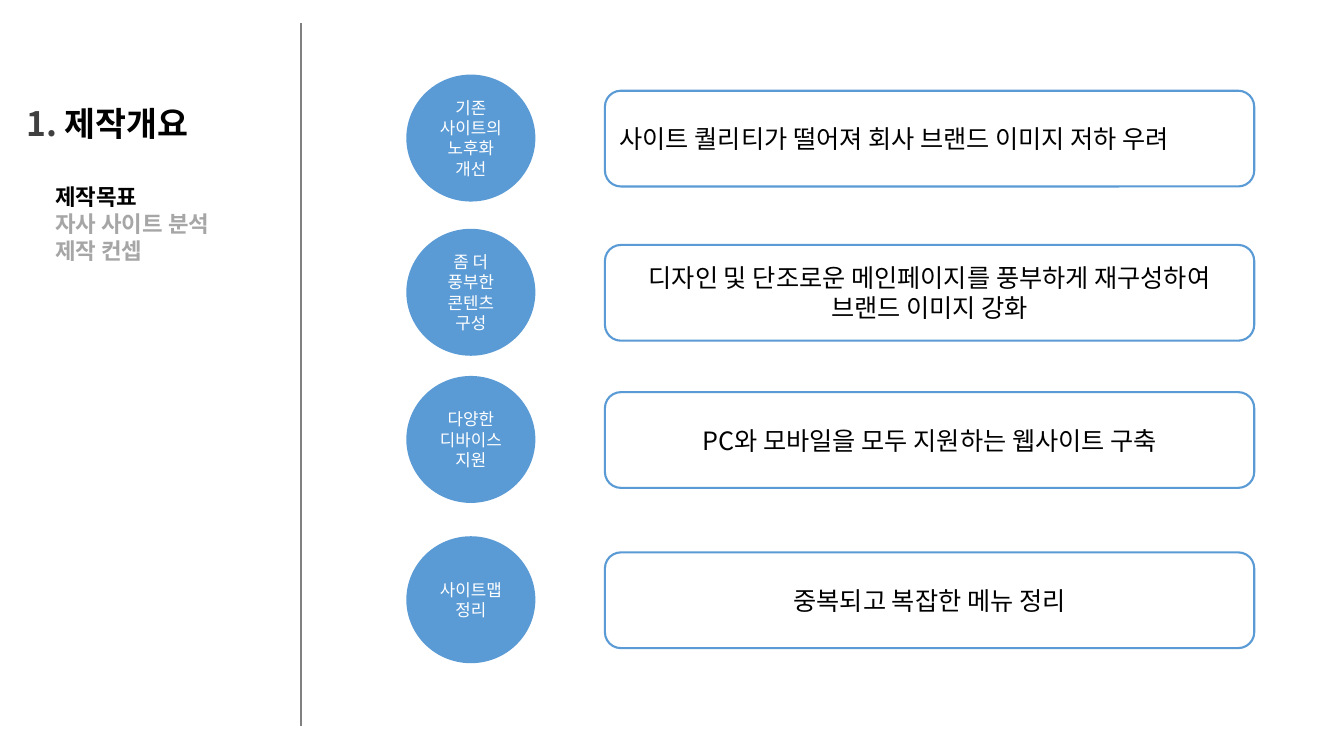
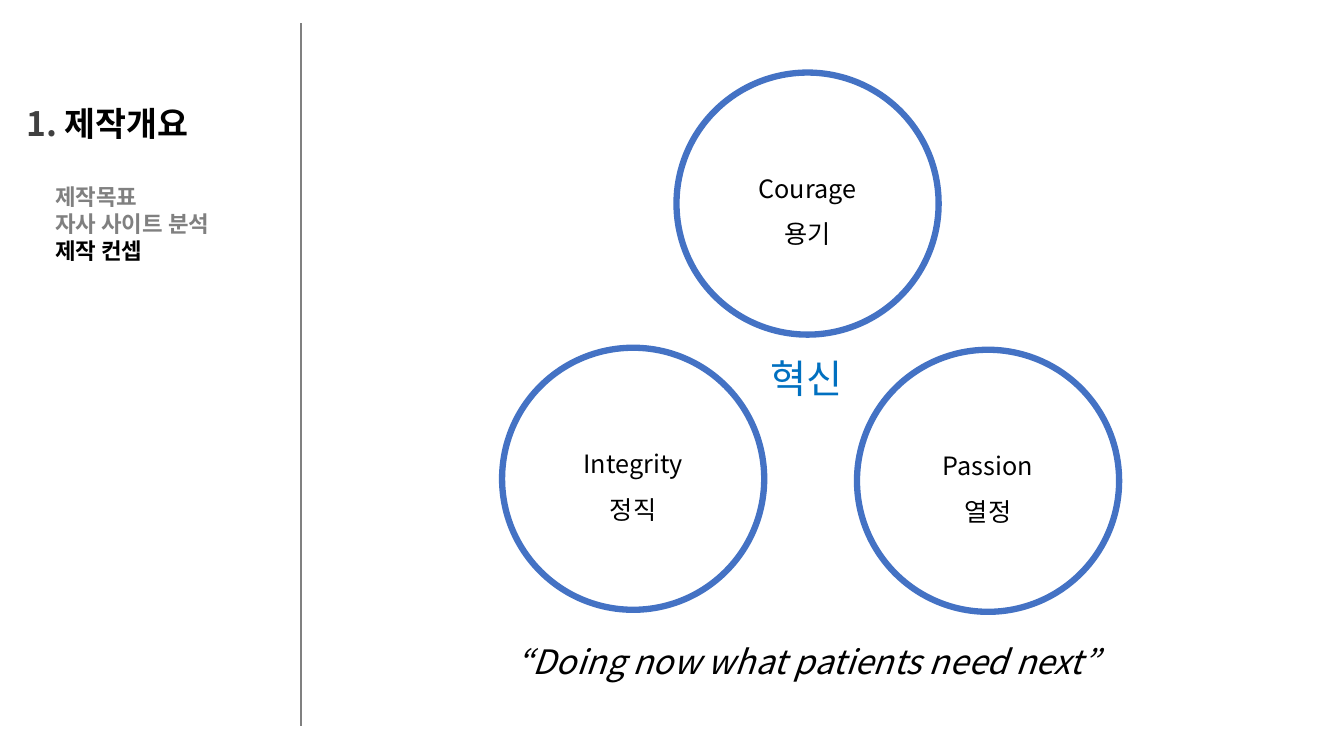
from lxml.etree import SubElement
from pptx import Presentation
from pptx.dml.color import RGBColor
from pptx.enum.shapes import MSO_CONNECTOR, MSO_SHAPE
from pptx.enum.text import MSO_ANCHOR, MSO_AUTO_SIZE, PP_ALIGN
from pptx.oxml.ns import qn
from pptx.util import Emu, Pt

EMU_PER_PX = 9144  # 100 px to the inch
FONT = "Noto Sans CJK KR"
BLACK, WHITE, GREY, DARK_GREY = "000000", "FFFFFF", "808080", "404040"
SKY, ROYAL, ACCENT = "5B9BD5", "4472C4", "0070C0"
MENU = ["제작목표", "자사 사이트 분석", "제작 컨셉"]

GOALS = [
    (74, ["기존", "사이트의 노후화 개선"],
     "사이트 퀄리티가 떨어져 회사 브랜드 이미지 저하 우려", PP_ALIGN.LEFT),
    (227, ["좀 더", "풍부한 콘텐츠 구성"],
     "디자인 및 단조로운 메인페이지를 풍부하게 재구성하여 브랜드 이미지 강화", PP_ALIGN.CENTER),
    (373, ["다양한 디바이스 지원"],
     "PC와 모바일을 모두 지원하는 웹사이트 구축", PP_ALIGN.CENTER),
    (532, ["사이트맵 정리"], "중복되고 복잡한 메뉴 정리", PP_ALIGN.CENTER),
]
VALUES = [
    (671, 72, ["Courage", "용기"]),
    (498, 345, ["Integrity", "정직"]),
    (850, 347, ["Passion", "열정"]),
]


def px(*lengths):
    return [Emu(length * EMU_PER_PX) for length in lengths]


def rgb(hex_code):
    return RGBColor.from_string(hex_code)


def write(frame, paragraphs, size=18, color=BLACK, bold=False, italic=False,
          align=PP_ALIGN.CENTER, anchor=MSO_ANCHOR.MIDDLE, spacing=None):
    """Fill a frame; each paragraph is a list of (text, color) runs or a plain string."""
    frame.word_wrap = True
    frame.auto_size = MSO_AUTO_SIZE.NONE
    frame.vertical_anchor = anchor
    for index, content in enumerate(paragraphs):
        paragraph = frame.add_paragraph() if index else frame.paragraphs[0]
        paragraph.alignment = align
        paragraph.line_spacing = spacing
        runs = [(content, color)] if isinstance(content, str) else content
        for words, run_color in runs:
            run = paragraph.add_run()
            run.text = words
            font = run.font
            font.size, font.bold, font.italic = Pt(size), bold, italic
            font.color.rgb = rgb(run_color)
            font.name = FONT
            SubElement(run._r.get_or_add_rPr(), qn("a:ea"), typeface=FONT)


class Deck:
    def __init__(self):
        self.presentation = Presentation()
        self.presentation.slide_width, self.presentation.slide_height = px(1333, 750)
        self.slide = None

    def start_section(self, current, muted):
        """Add a slide with the shared sidebar, the current menu entry in black."""
        self.slide = self.presentation.slides.add_slide(
            self.presentation.slide_layouts[5])
        title = self.slide.shapes.title
        title.left, title.top, title.width, title.height = px(16, 74, 258, 102)
        write(title.text_frame, [[("1. ", DARK_GREY), ("제작개요", BLACK)]],
              size=24, bold=True, align=PP_ALIGN.LEFT, spacing=0.9)
        entries = [[(entry, BLACK if entry == current else muted)] for entry in MENU]
        self.label(45, 177, 256, 91, entries, size=16, bold=True, align=PP_ALIGN.LEFT)
        self.divider(299, 23, 720)

    def label(self, left, top, width, height, paragraphs, **style):
        box = self.slide.shapes.add_textbox(*px(left, top, width, height))
        write(box.text_frame, paragraphs, anchor=MSO_ANCHOR.TOP, **style)

    def divider(self, x, top, bottom):
        rule = self.slide.shapes.add_connector(
            MSO_CONNECTOR.STRAIGHT, *px(x, top, x, bottom))
        rule.line.color.rgb = rgb(GREY)
        rule.line.width = Pt(1.5)
        SubElement(rule._element.spPr, qn("a:effectLst"))

    def figure(self, kind, left, top, width, height, paragraphs,
               fill=None, outline=None, weight=1.5, **style):
        shape = self.slide.shapes.add_shape(kind, *px(left, top, width, height))
        shape.shadow.inherit = False
        if fill:
            shape.fill.solid()
            shape.fill.fore_color.rgb = rgb(fill)
        else:
            shape.fill.background()
        if outline:
            shape.line.color.rgb = rgb(outline)
            shape.line.width = Pt(weight)
        else:
            shape.line.fill.background()
        write(shape.text_frame, paragraphs, **style)


def add_goals(deck):
    deck.start_section("제작목표", muted="A6A6A6")
    for top, goal, detail, align in GOALS:
        deck.figure(MSO_SHAPE.OVAL, 403, top, 128, 126, goal,
                    fill=SKY, size=12, color=WHITE)
        deck.figure(MSO_SHAPE.ROUNDED_RECTANGLE, 600, top + 16, 644, 95, [detail],
                    outline=SKY, align=align)


def add_concept(deck):
    deck.start_section("제작 컨셉", muted=GREY)
    for left, top, names in VALUES:
        deck.figure(MSO_SHAPE.OVAL, left, top, 260, 260, names,
                    outline=ROYAL, weight=4.5, spacing=1.5)
    deck.label(749, 347, 101, 57, ["혁신"], size=28, color=ACCENT)
    deck.label(485, 631, 632, 50, ["“Doing now what patients need next”"],
               size=24, italic=True)


def main():
    deck = Deck()
    add_goals(deck)
    add_concept(deck)
    deck.presentation.save("out.pptx")


if __name__ == "__main__":
    main()
